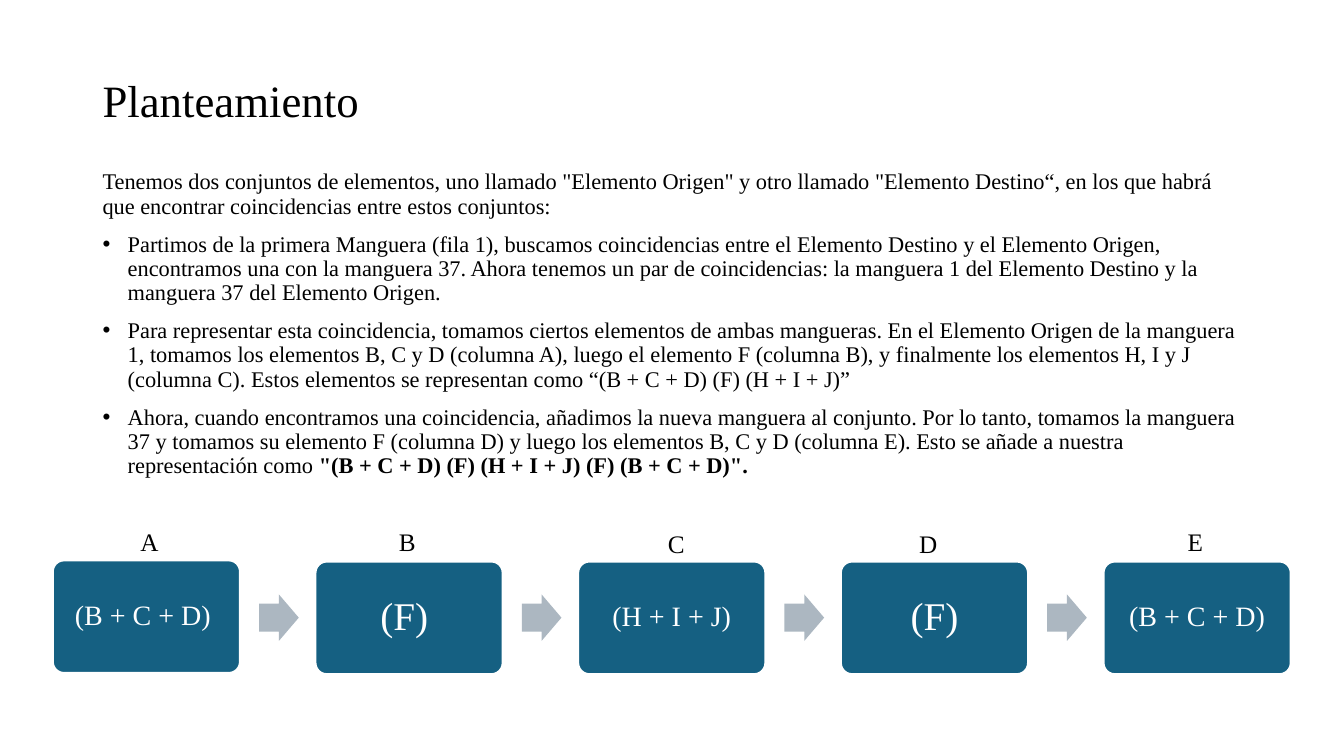
from lxml.etree import SubElement
from pptx import Presentation
from pptx.dml.color import RGBColor
from pptx.enum.shapes import MSO_SHAPE
from pptx.enum.text import MSO_ANCHOR, MSO_AUTO_SIZE, PP_ALIGN
from pptx.oxml.ns import qn
from pptx.util import Cm, Pt

INTRO = 'Tenemos dos conjuntos de elementos, uno llamado "Elemento Origen" y otro llamado "Elemento Destino“, en los que habrá que encontrar coincidencias entre estos conjuntos:'
PASOS = [
    "Partimos de la primera Manguera (fila 1), buscamos coincidencias entre el Elemento Destino y el Elemento Origen, encontramos una con la manguera 37. Ahora tenemos un par de coincidencias: la manguera 1 del Elemento Destino y la manguera 37 del Elemento Origen.",
    "Para representar esta coincidencia, tomamos ciertos elementos de ambas mangueras. En el Elemento Origen de la manguera 1, tomamos los elementos B, C y D (columna A), luego el elemento F (columna B), y finalmente los elementos H, I y J (columna C). Estos elementos se representan como “(B + C + D) (F) (H + I + J)”",
    "Ahora, cuando encontramos una coincidencia, añadimos la nueva manguera al conjunto. Por lo tanto, tomamos la manguera 37 y tomamos su elemento F (columna D) y luego los elementos B, C y D (columna E). Esto se añade a nuestra representación como ",
]
RESULTADO = '"(B + C + D) (F) (H + I + J) (F) (B + C + D)".'

COLUMNAS = [
    ("A", 3.28, 13.13, "(B + C + D) ", 20, 14.12),
    ("B", 9.78, 13.13, "(F) ", 28, 14.15),
    ("C", 16.56, 13.18, "(H + I + J)", 20, 14.15),
    ("D", 22.91, 13.18, "(F)", 28, 14.15),
    ("E", 29.64, 13.13, "(B + C + D)", 20, 14.15),
]
PASO_COLUMNA = 6.62

TITULO = {"size": Pt(32), "name": "Times New Roman", "bold": False}
CUERPO = {**TITULO, "size": Pt(16)}
RESALTADO = {**CUERPO, "bold": True}
LETRA = {**TITULO, "size": Pt(18)}
PARRAFO = {"alignment": PP_ALIGN.LEFT, "line_spacing": 0.9, "space_before": Pt(10)}
CENTRADO = {"alignment": PP_ALIGN.CENTER, "line_spacing": 0.9}
MARGENES = ("margin_left", "margin_top", "margin_right", "margin_bottom")


def color(hexadecimal):
    return RGBColor.from_string(hexadecimal)


def aplicar(destino, formato):
    for atributo, valor in formato.items():
        setattr(destino, atributo, valor)


def colocar(elemento, left, top, width, height):
    aplicar(elemento, {"left": Cm(left), "top": Cm(top), "width": Cm(width), "height": Cm(height)})


def escribir(parrafo, texto, fuente, formato, tono="000000"):
    tramo = parrafo.add_run()
    tramo.text = texto
    aplicar(tramo.font, fuente)
    tramo.font.color.rgb = color(tono)
    aplicar(parrafo, formato)


def poner_vineta(parrafo, simbolo=None):
    sangria = Cm(0.635) if simbolo else 0
    propiedades = parrafo._p.get_or_add_pPr()
    propiedades.set("marL", str(sangria))
    propiedades.set("indent", str(-sangria))
    if simbolo:
        SubElement(propiedades, qn("a:buFont"), typeface="Arial")
        SubElement(propiedades, qn("a:buChar"), char=simbolo)
    else:
        SubElement(propiedades, qn("a:buNone"))


def llenar_titulo(titulo):
    colocar(titulo, 2.33, 1.01, 29.21, 3.15)
    aplicar(titulo.text_frame, {"vertical_anchor": MSO_ANCHOR.MIDDLE, "auto_size": MSO_AUTO_SIZE.NONE})
    escribir(titulo.text_frame.paragraphs[0], "Planteamiento", TITULO, {**PARRAFO, "space_before": Pt(0)})


def llenar_cuerpo(cuerpo):
    colocar(cuerpo, 2.33, 4.17, 29.21, 8.71)
    marco = cuerpo.text_frame
    aplicar(marco, {"vertical_anchor": MSO_ANCHOR.TOP, "auto_size": MSO_AUTO_SIZE.NONE})
    intro = marco.paragraphs[0]
    escribir(intro, INTRO, CUERPO, PARRAFO)
    poner_vineta(intro)
    for paso in PASOS:
        parrafo = marco.add_paragraph()
        escribir(parrafo, paso, CUERPO, PARRAFO)
        poner_vineta(parrafo, "•")
    escribir(parrafo, RESULTADO, RESALTADO, PARRAFO)


def figura(slide, forma, lugar, relleno, ajustes):
    nueva = slide.shapes.add_shape(forma, *map(Cm, lugar))
    nueva.shadow.inherit = False
    nueva.fill.solid()
    nueva.fill.fore_color.rgb = color(relleno)
    nueva.line.fill.background()
    for indice, ajuste in enumerate(ajustes):
        nueva.adjustments[indice] = ajuste
    return nueva


def bloque(slide, left, top, texto, tamano):
    caja = figura(slide, MSO_SHAPE.ROUNDED_RECTANGLE, (left, top, 4.72, 2.84), "156082", [0.1])
    caja.line.color.rgb = color("FFFFFF")
    caja.line.width = Pt(1.5)
    marco = caja.text_frame
    aplicar(marco, {"vertical_anchor": MSO_ANCHOR.MIDDLE, "word_wrap": True})
    aplicar(marco, dict.fromkeys(MARGENES, Cm(0.3)))
    escribir(marco.paragraphs[0], texto, {**TITULO, "size": Pt(tamano)}, CENTRADO, "FFFFFF")


def flecha(slide, left):
    figura(slide, MSO_SHAPE.RIGHT_ARROW, (left, 14.98, 1, 1.17), "ACB7C1", [0.6, 0.5])


def letra_columna(slide, letra, left, top):
    marco = slide.shapes.add_textbox(Cm(left), Cm(top), Cm(0.97), Cm(1.03)).text_frame
    marco.word_wrap = False
    escribir(marco.paragraphs[0], letra, LETRA, {"alignment": PP_ALIGN.CENTER})


def main():
    presentacion = Presentation()
    aplicar(presentacion, {"slide_width": Cm(33.87), "slide_height": Cm(19.05)})
    slide = presentacion.slides.add_slide(presentacion.slide_layouts[1])
    llenar_titulo(slide.shapes.title)
    llenar_cuerpo(slide.placeholders[1])
    for indice, (letra, letra_left, letra_top, texto, tamano, top) in enumerate(COLUMNAS):
        left = 1.33 + indice * PASO_COLUMNA
        if indice:
            flecha(slide, left - 1.42)
        bloque(slide, left, top, texto, tamano)
        letra_columna(slide, letra, letra_left, letra_top)
    presentacion.save("out.pptx")


if __name__ == "__main__":
    main()
